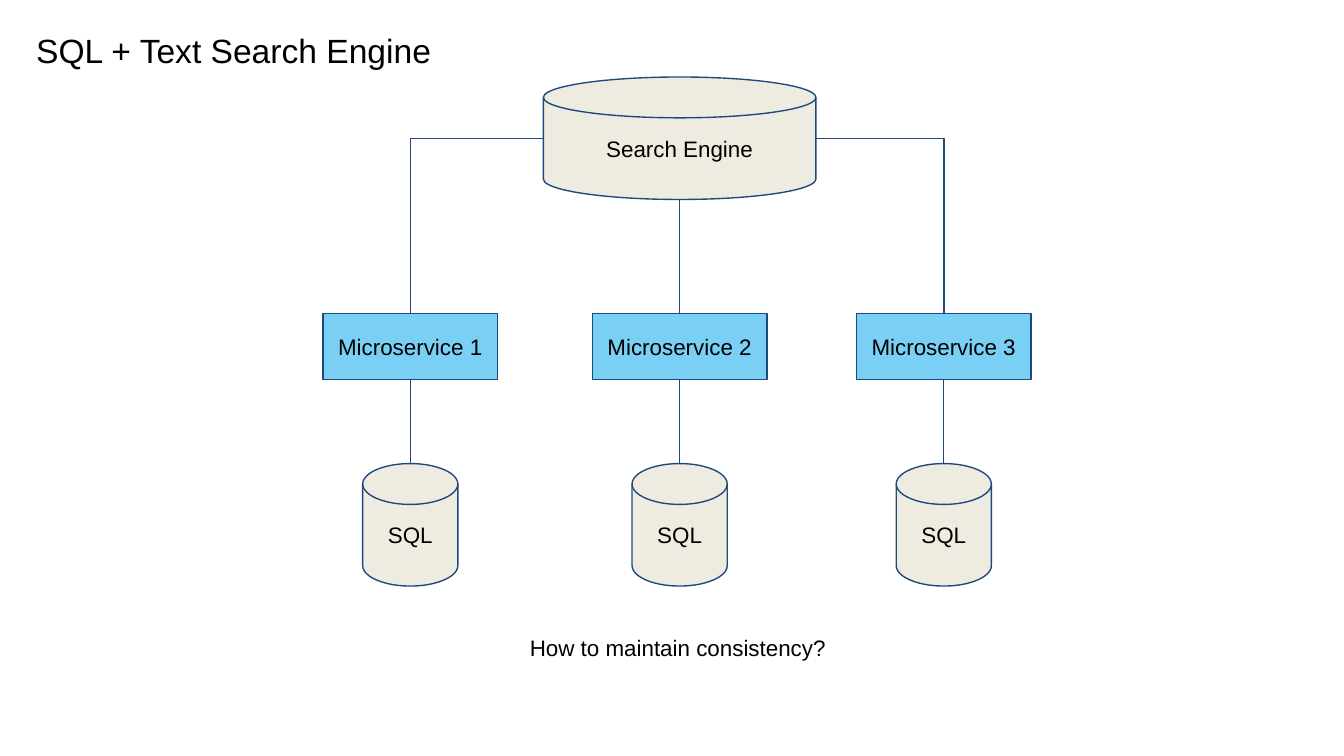
from lxml.etree import SubElement
from pptx import Presentation
from pptx.dml.color import RGBColor
from pptx.enum.shapes import MSO_CONNECTOR, MSO_SHAPE
from pptx.enum.text import MSO_ANCHOR, MSO_AUTO_SIZE, PP_ALIGN
from pptx.oxml.ns import qn
from pptx.util import Pt

COLORS = {"text": "000000", "line": "1F497D", "service": "7ACFF5", "store": "EEECE1"}


def set_text(sp, text, size=12, align=PP_ALIGN.CENTER, anchor=MSO_ANCHOR.MIDDLE,
             fill=None):
    """Write text into a shape; a fill also gives the shape its outline."""
    if fill:
        sp.shadow.inherit = False
        sp.fill.solid()
        sp.fill.fore_color.rgb = RGBColor.from_string(COLORS[fill])
        sp.line.color.rgb = RGBColor.from_string(COLORS["line"])
        sp.line.width = Pt(0.75)
    tf = sp.text_frame
    tf.word_wrap = True
    tf.auto_size = MSO_AUTO_SIZE.NONE
    tf.vertical_anchor = anchor
    tf.margin_left = tf.margin_right = tf.margin_top = tf.margin_bottom = Pt(7.2)
    p = tf.paragraphs[0]
    p.alignment = align
    r = p.add_run()
    r.text = text
    r.font.name = "Arial"
    r.font.size = Pt(size)
    r.font.color.rgb = RGBColor.from_string(COLORS["text"])


def connect(x1, y1, x2, y2):
    """Join two points, with one corner if they are not on one vertical."""
    kind = MSO_CONNECTOR.STRAIGHT if x1 == x2 else MSO_CONNECTOR.ELBOW
    cxn = s.shapes.add_connector(kind, Pt(x1), Pt(y1), Pt(x2), Pt(y2))
    cxn.line.color.rgb = RGBColor.from_string(COLORS["line"])
    cxn.line.width = Pt(0.75)
    sp_pr = cxn._element.spPr
    if x1 != x2:
        sp_pr.find(qn("a:prstGeom")).set("prst", "bentConnector2")
    SubElement(sp_pr, qn("a:effectLst"))


prs = Presentation()
prs.slide_width, prs.slide_height = Pt(720), Pt(405)
s = prs.slides.add_slide(prs.slide_layouts[5])

# Title
title = s.shapes.title
title.left, title.top, title.width, title.height = Pt(12.2), Pt(8.7), Pt(702), Pt(29.5)
set_text(title, "SQL + Text Search Engine", size=18, align=PP_ALIGN.LEFT,
         anchor=MSO_ANCHOR.TOP)

# Grid: column centres, then top and height of each row
centers = [219.8, 364.1, 505.6]
engine_w, service_w, sql_w = 146, 93.6, 51
engine_y, service_y, sql_y = 41.3, 168, 248.4
store_h, service_h = 65.6, 35.3
engine_x = centers[1] - engine_w / 2

# Microservices, each with its own database
for i, cx in enumerate(centers, 1):
    sp = s.shapes.add_shape(MSO_SHAPE.RECTANGLE, Pt(cx - service_w / 2), Pt(service_y),
                            Pt(service_w), Pt(service_h))
    set_text(sp, f"Microservice {i}", fill="service")
    sp = s.shapes.add_shape(MSO_SHAPE.FLOWCHART_MAGNETIC_DISK, Pt(cx - sql_w / 2),
                            Pt(sql_y), Pt(sql_w), Pt(store_h))
    set_text(sp, "SQL", fill="store")
    connect(cx, sql_y, cx, service_y + service_h)

# Shared search engine
sp = s.shapes.add_shape(MSO_SHAPE.FLOWCHART_MAGNETIC_DISK, Pt(engine_x), Pt(engine_y),
                        Pt(engine_w), Pt(store_h))
set_text(sp, "Search Engine", fill="store")

# Links from the engine to the microservices
engine_mid = engine_y + store_h / 2
connect(engine_x, engine_mid, centers[0], service_y)
connect(centers[1], engine_y + store_h, centers[1], service_y)
connect(engine_x + engine_w, engine_mid, centers[2], service_y)

# Closing question
sp = s.shapes.add_textbox(Pt(12.2), Pt(332.7), Pt(702), Pt(29.5))
set_text(sp, "How to maintain consistency?", anchor=MSO_ANCHOR.TOP)

prs.save("out.pptx")
